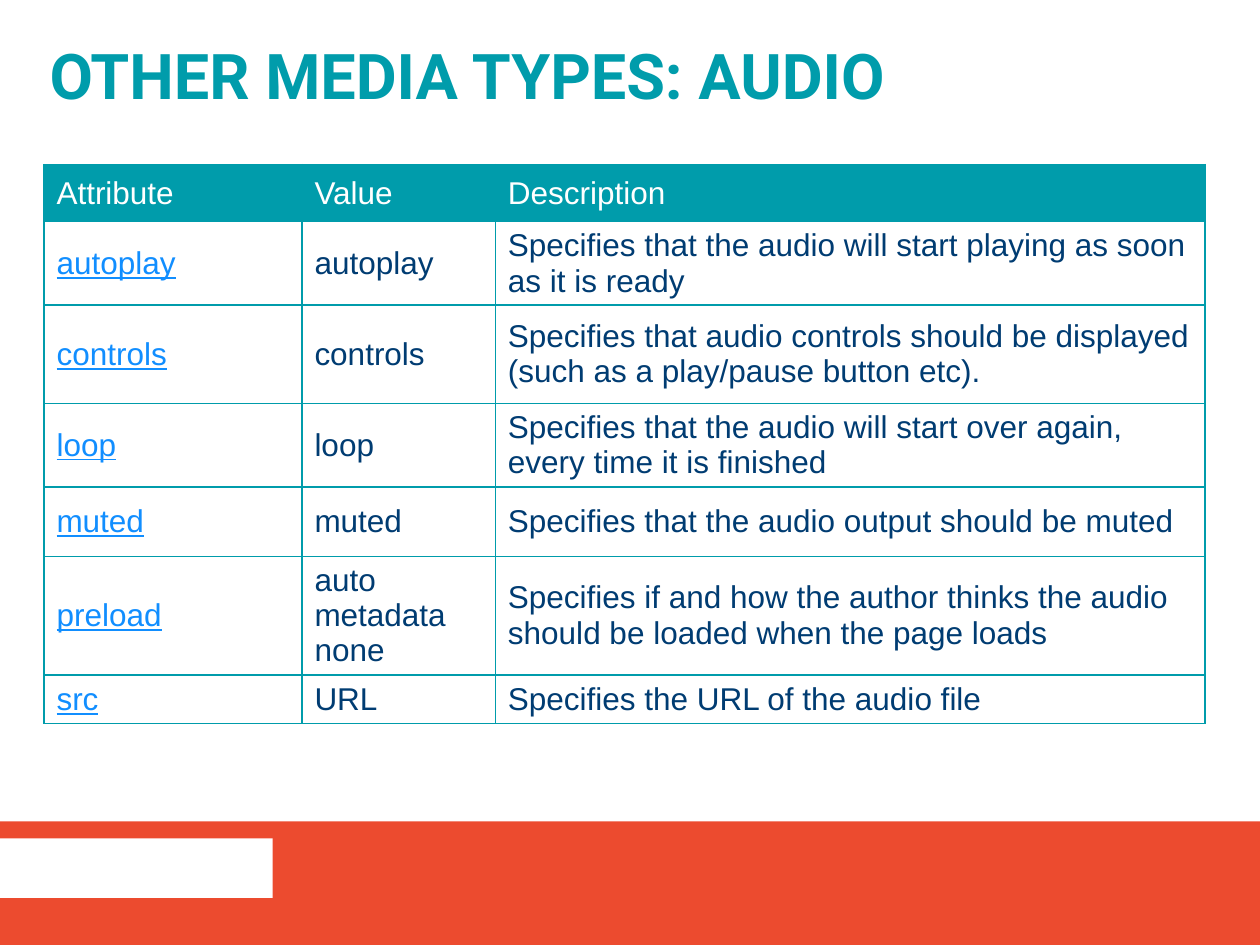
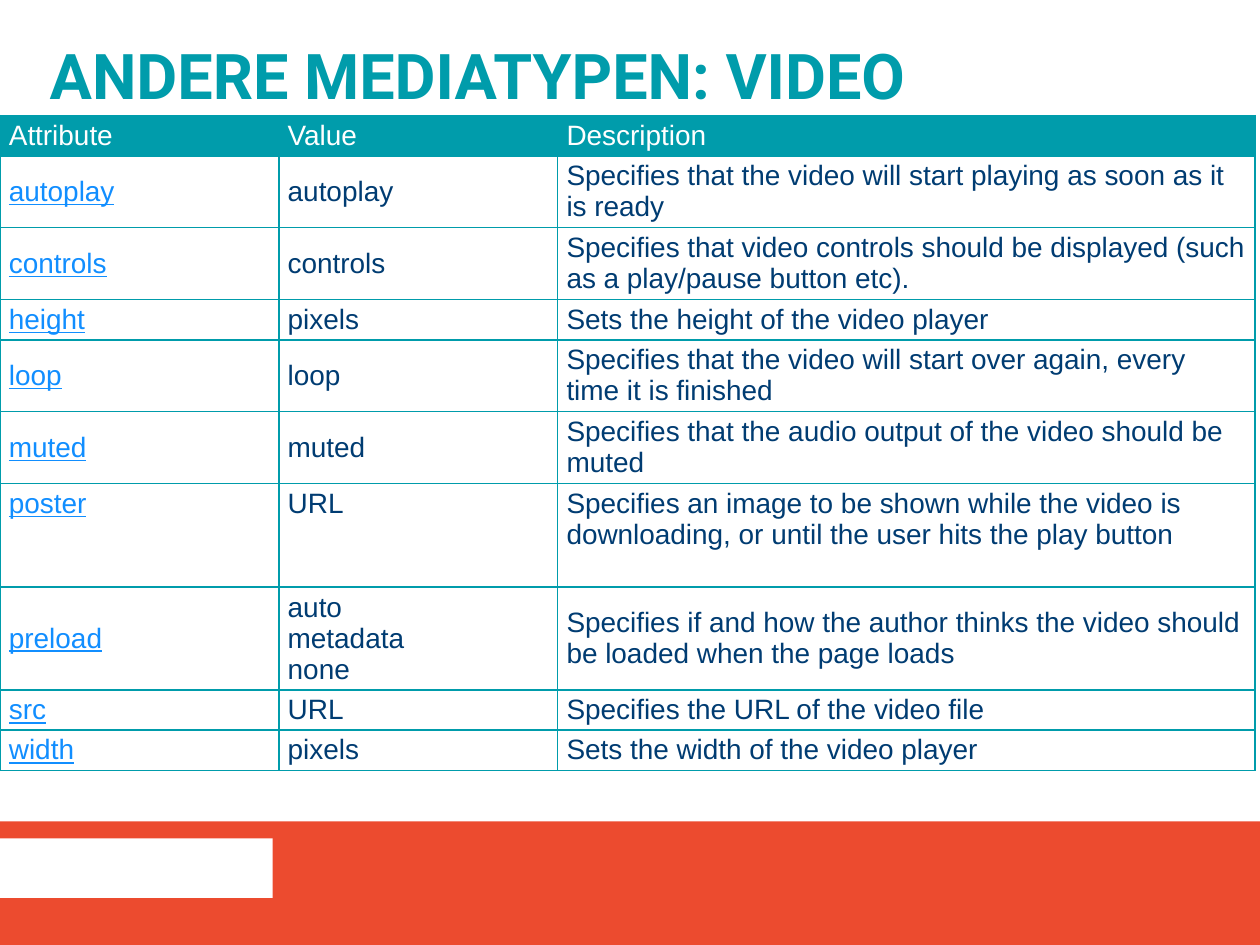
from copy import deepcopy

from lxml import etree
from pptx import Presentation
from pptx import util as u
from pptx.dml.color import RGBColor
from pptx.enum import shapes, text
from pptx.oxml.ns import qn

TEAL, NAVY, LINK = "009CAB", "003C72", "118EFF"
ORANGE, WHITE = "EC4B2F", "FFFFFF"
TITLE_ONLY = 5
HEADER = ("Attribute", "Value", "Description")


def rgb(value):
    return RGBColor.from_string(value)


def add_borders(cell, color, width=1):
    tc_pr = cell._tc.get_or_add_tcPr()
    for side in ("lnL", "lnR", "lnT", "lnB"):
        ln = etree.SubElement(tc_pr, qn(f"a:{side}"), w=str(u.Pt(width)))
        fill = etree.SubElement(ln, qn("a:solidFill"))
        etree.SubElement(fill, qn("a:srgbClr"), val=color)


class Deck:
    title_font, body_font = "Roboto", "Arial"

    def __init__(self):
        self.prs = Presentation()
        self.prs.slide_width, self.prs.slide_height = u.Cm(25.4), u.Cm(19.05)
        self.layout = self.prs.slide_layouts[TITLE_ONLY]
        self.s = None

    def add_slide(self, title):
        self.s = self.prs.slides.add_slide(self.layout)
        sp = self.s.shapes.title
        sp.left, sp.top, sp.width, sp.height = 0, 0, u.Cm(25.4), u.Cm(3.18)
        tf = sp.text_frame
        tf.text = title
        tf.word_wrap = True
        tf.auto_size = text.MSO_AUTO_SIZE.NONE
        tf.vertical_anchor = text.MSO_ANCHOR.MIDDLE
        tf.margin_left = tf.margin_right = u.Cm(1)
        tf.margin_top, tf.margin_bottom = u.Cm(0.5), u.Cm(0.4)
        p = tf.paragraphs[0]
        p.alignment = text.PP_ALIGN.LEFT
        p.line_spacing = 0.8
        self.format_run(p.runs[0], self.title_font, 36, TEAL, bold=True)

    def format_run(self, r, font, size, color, bold=False, underline=False):
        r.font.name, r.font.size = font, u.Pt(size)
        r.font.bold, r.font.underline = bold, underline
        r.font.color.rgb = rgb(color)

    def add_layout_band(self, order, top, width, height, color):
        """Draw a band and move it to the layout, behind everything else."""
        sp = self.s.shapes.add_shape(shapes.MSO_SHAPE.RECTANGLE, 0, u.Cm(top), u.Cm(width), u.Cm(height))
        sp.shadow.inherit = False
        sp.fill.solid()
        sp.fill.fore_color.rgb = rgb(color)
        sp.line.fill.background()
        sp.element.nvSpPr.cNvPr.id = 100 + order
        self.layout.shapes.element.insert(2 + order, sp.element)

    def add_table(self, rows, left, top, height, widths, heights, size,
                  margins=(0.25, 0.13), top_rows=()):
        """Header plus attribute rows; top_rows names attributes anchored at the top."""
        rows = [HEADER, *rows]
        frame = self.s.shapes.add_table(len(rows), len(widths), u.Cm(left), u.Cm(top),
                                        u.Cm(sum(widths)), u.Cm(height))
        table = frame.table
        table.first_row = table.horz_banding = False
        for column, width in zip(table.columns, widths):
            column.width = u.Cm(width)
        for i, (values, row_height) in enumerate(zip(rows, heights)):
            table.rows[i].height = u.Cm(row_height)
            anchor = text.MSO_ANCHOR.TOP if values[0] in top_rows else text.MSO_ANCHOR.MIDDLE
            for j, value in enumerate(values):
                cell = table.cell(i, j)
                cell.vertical_anchor = anchor
                cell.margin_left = cell.margin_right = u.Cm(margins[0])
                cell.margin_top = cell.margin_bottom = u.Cm(margins[1])
                self.fill_cell(cell, value, size, header=i == 0, link=i > 0 and j == 0)
        frame.height = u.Cm(height)

    def fill_cell(self, cell, value, size, header, link):
        add_borders(cell, TEAL)
        cell.fill.solid()
        cell.fill.fore_color.rgb = rgb(TEAL if header else WHITE)
        color = WHITE if header else LINK if link else NAVY
        p = cell.text_frame.paragraphs[0]
        p.text = value
        for r in p.runs:
            self.format_run(r, self.body_font, size, color, underline=link)
        for br in p._p.findall(qn("a:br")):
            br.append(deepcopy(p.runs[0]._r.rPr))


def common_rows(medium):
    """Attributes that audio and video elements share, by name."""
    rows = (
        ("autoplay", "autoplay", f"Specifies that the {medium} will start playing as soon as it is ready"),
        ("controls", "controls",
         f"Specifies that {medium} controls should be displayed (such as a play/pause button etc)."),
        ("loop", "loop", f"Specifies that the {medium} will start over again, every time it is finished"),
        ("preload", "auto\vmetadata\vnone",
         f"Specifies if and how the author thinks the {medium} should be loaded when the page loads"),
        ("src", "URL", f"Specifies the URL of the {medium} file"),
    )
    return {row[0]: row for row in rows}


def audio_slide(deck):
    deck.add_slide("OTHER MEDIA TYPES: AUDIO")
    common = common_rows("audio")
    rows = [
        common["autoplay"], common["controls"], common["loop"],
        ("muted", "muted", "Specifies that the audio output should be muted"),
        common["preload"], common["src"],
    ]
    deck.add_table(rows, 0.89, 3.32, 12.57, (5.2, 3.9, 14.3),
                   (1.15, 1.4, 1.98, 1.4, 1.4, 1.98, 0.8), 18)


def video_slide(deck):
    deck.add_slide("ANDERE MEDIATYPEN: VIDEO")
    common = common_rows("video")
    rows = [
        common["autoplay"], common["controls"],
        ("height", "pixels", "Sets the height of the video player"),
        common["loop"],
        ("muted", "muted", "Specifies that the audio output of the video should be muted"),
        ("poster", "URL",
         "Specifies an image to be shown while the video is downloading, "
         "or until the user hits the play button"),
        common["preload"], common["src"],
        ("width", "pixels", "Sets the width of the video player"),
    ]
    one, two, three = 0.81, 1.45, 2.08
    deck.add_table(rows, 0, 2.33, 14.07, (5.62, 5.62, 14.06),
                   (one, two, two, one, two, two, three, three, one, one), 16,
                   margins=(0.18, 0.09), top_rows=("poster",))


def main():
    deck = Deck()
    audio_slide(deck)
    deck.add_layout_band(0, 16.56, 25.4, 2.49, ORANGE)
    deck.add_layout_band(1, 16.9, 5.5, 1.2, WHITE)
    video_slide(deck)
    deck.prs.save("out.pptx")


if __name__ == "__main__":
    main()
